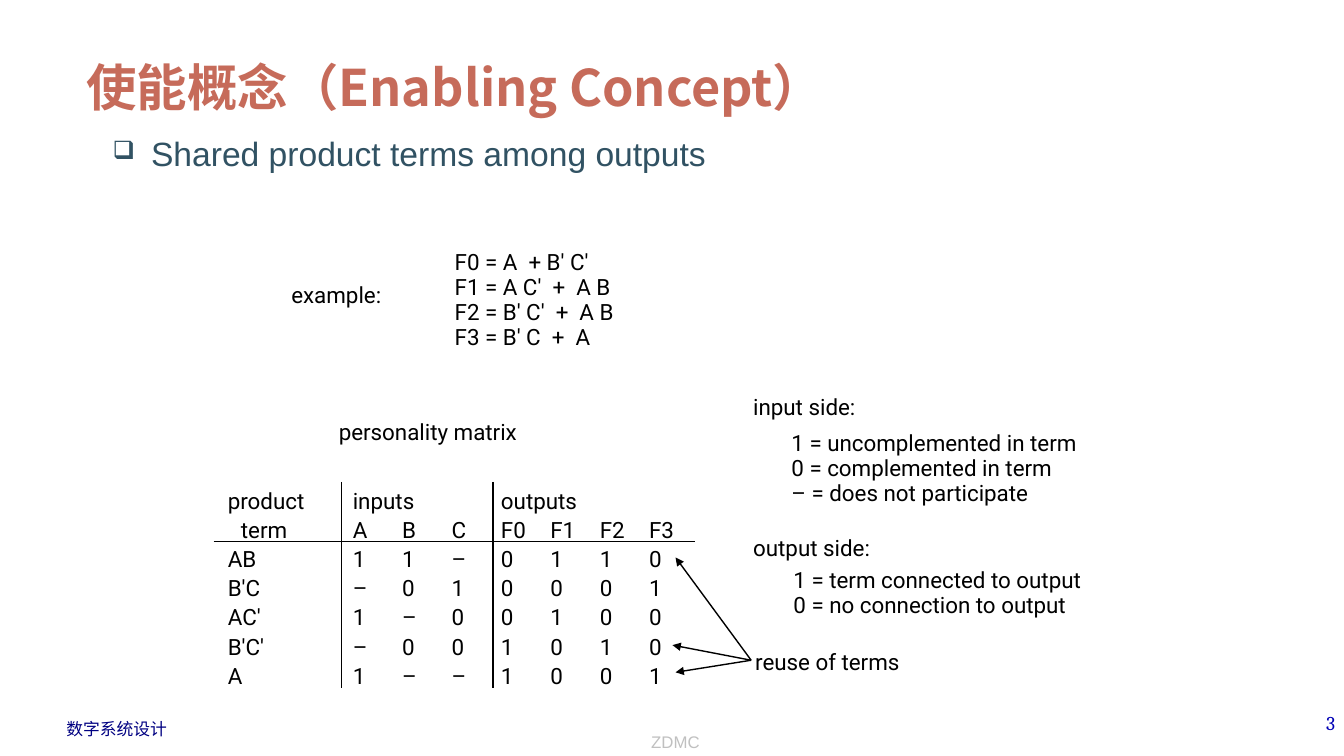
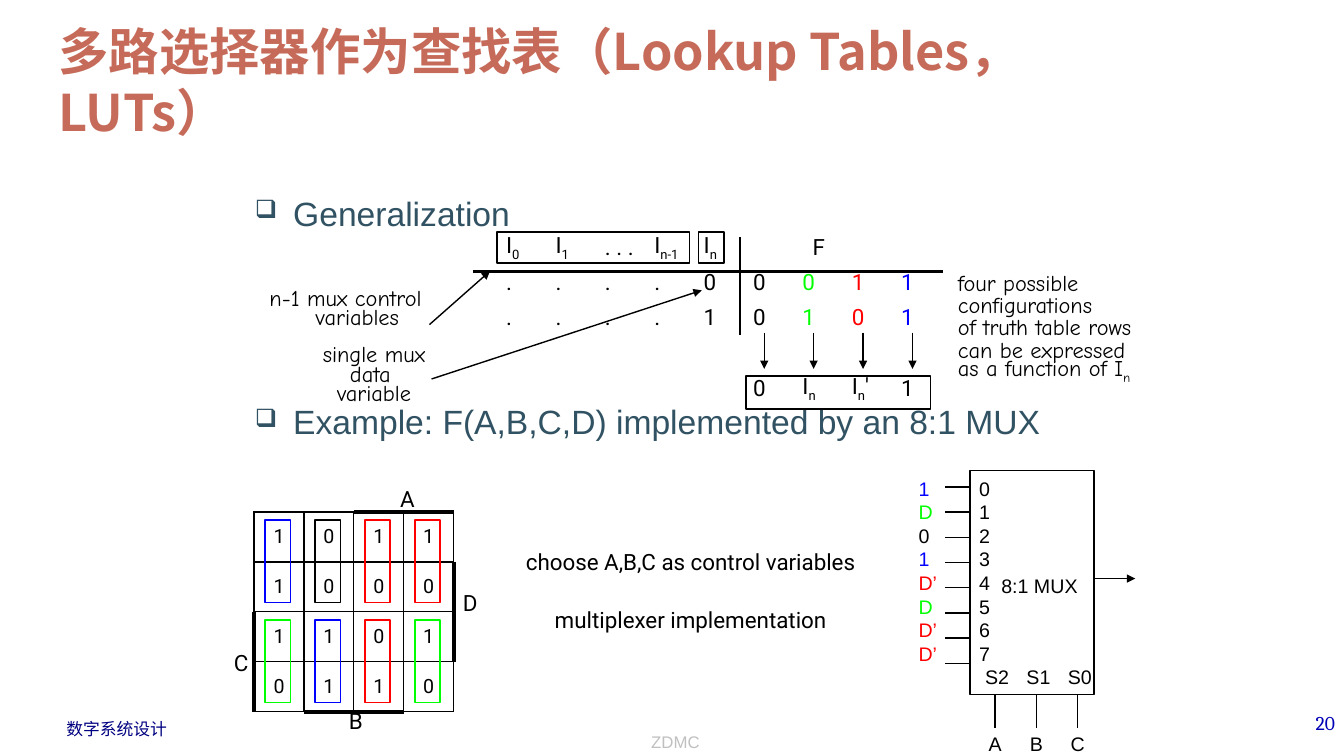
from dataclasses import dataclass

from lxml import etree
from pptx import Presentation
from pptx import util as u
from pptx.dml.color import RGBColor
from pptx.enum import shapes, text
from pptx.oxml import ns

LEFT, CENTER, RIGHT = text.PP_ALIGN.LEFT, text.PP_ALIGN.CENTER, text.PP_ALIGN.RIGHT
NO_GRID_STYLE = "{2D5ABB26-0587-4C30-8999-92F81FD0307C}"


@dataclass(frozen=True)
class Look:
    font: str
    size: int
    color: str
    bold: bool = False


@dataclass(frozen=True)
class Theme:
    ink: str = "000000"
    blue: str = "0000FF"
    green: str = "00FF00"
    red: str = "FF0000"
    title: Look = Look("Noto Sans CJK SC", 36, "C66B5A", True)
    body: Look = Look("Arial", 24, "315263")
    course: Look = Look("Arial", 12, "000082")
    number: Look = Look("Cambria", 14, "0000B6")
    center: Look = Look("Arial", 12, "C0C0C0")
    label: Look = Look("Roboto", 16, "000000")
    cell: Look = Look("Roboto", 14, "000000")
    mux: Look = Look("Arial", 14, "000000")
    note: Look = Look("Comic Neue", 16, "000000")


THEME = Theme()


def rgb(color):
    return RGBColor.from_string(color)


def child(parent, tag, **attributes):
    return etree.SubElement(parent, ns.qn(tag), attributes)


def set_paragraph(para, content, look, color=None, align=LEFT, leading=None):
    if "|" in content:
        for index, piece in enumerate(content.split("|")):
            if piece:
                run = para.add_run()
                run.text = piece
                if index % 2:
                    run._r.get_or_add_rPr().set("baseline", "-25000")
    else:
        para.text = content
    para.alignment = align
    if leading:
        para.line_spacing = u.Pt(leading)
    para.font.name = look.font
    para.font.size = u.Pt(look.size)
    para.font.bold = look.bold
    para.font.color.rgb = rgb(color or look.color)


def add_bullet(para, look):
    props = para._p.get_or_add_pPr()
    props.set("marL", str(u.Inches(0.38)))
    props.set("indent", str(u.Inches(-0.38)))
    child(child(props, "a:buClr"), "a:srgbClr", val=look.color)
    child(props, "a:buSzPct", val="75000")
    child(props, "a:buChar", char="❑")


def write(slide, box, lines, look, colors=None, align=LEFT, leading=None,
          inset=(0.02, 0.03), anchor=text.MSO_ANCHOR.TOP, bullet=False):
    frame = slide.shapes.add_textbox(*map(u.Inches, box)).text_frame
    frame.word_wrap = True
    frame.vertical_anchor = anchor
    frame.margin_left = frame.margin_right = u.Inches(inset[0])
    frame.margin_top = frame.margin_bottom = u.Inches(inset[1])
    for index, content in enumerate(lines):
        para = frame.add_paragraph() if index else frame.paragraphs[0]
        if bullet:
            add_bullet(para, look)
        set_paragraph(para, content, look, colors[index] if colors else None, align, leading)
    return frame.paragraphs


def line(slide, start, end, weight=1, arrow=False):
    points = map(u.Inches, (*start, *end))
    connector = slide.shapes.add_connector(shapes.MSO_CONNECTOR.STRAIGHT, *points)
    connector.line.color.rgb = rgb(THEME.ink)
    connector.line.width = u.Pt(weight)
    props = connector._element.spPr
    if arrow:
        child(props.find(ns.qn("a:ln")), "a:tailEnd", type="triangle")
    child(props, "a:effectLst")


def outline(slide, box, color=THEME.ink):
    frame = slide.shapes.add_shape(shapes.MSO_SHAPE.RECTANGLE, *map(u.Inches, box))
    frame.shadow.inherit = False
    frame.fill.background()
    frame.line.color.rgb = rgb(color)
    frame.line.width = u.Pt(1)


def add_borders(cell):
    props = cell._tc.get_or_add_tcPr()
    for index, side in enumerate(("a:lnL", "a:lnR", "a:lnT", "a:lnB")):
        border = etree.Element(ns.qn(side), w=str(u.Pt(1)))
        child(child(border, "a:solidFill"), "a:srgbClr", val=THEME.ink)
        props.insert(index, border)


def grid(slide, left, top, widths, row_height, rows, look, align=LEFT, bordered=False):
    size = (sum(widths), row_height * len(rows))
    frame = slide.shapes.add_table(len(rows), len(widths), *map(u.Inches, (left, top, *size)))
    table = frame.table
    table.first_row = table.horz_banding = False
    table._tbl.tblPr.find(ns.qn("a:tableStyleId")).text = NO_GRID_STYLE
    for column, width in zip(table.columns, widths):
        column.width = u.Inches(width)
    for row, contents in zip(table.rows, rows):
        row.height = u.Inches(row_height)
        for cell, content in zip(row.cells, contents):
            value, color = content if isinstance(content, tuple) else (content, None)
            cell.margin_left = cell.margin_right = cell.margin_top = cell.margin_bottom = 0
            cell.vertical_anchor = text.MSO_ANCHOR.MIDDLE
            cell.fill.background()
            set_paragraph(cell.text_frame.paragraphs[0], value, look, color, align)
            if bordered:
                add_borders(cell)
    return table


def start_slide(deck, title, title_box, number):
    slide = deck.slides.add_slide(deck.slide_layouts[6])
    inset, bottom = (0.1, 0.05), text.MSO_ANCHOR.BOTTOM
    heading = write(slide, title_box, [title], THEME.title, inset=inset, anchor=bottom)[0]
    child(heading._p.pPr.find(ns.qn("a:defRPr")), "a:ea", typeface=THEME.title.font)
    write(slide, (0.56, 7.08, 1.5, 0.3), ["数字系统设计"], THEME.course, inset=inset)
    write(slide, (10.56, 7, 2.78, 0.5), [number], THEME.number, align=RIGHT, inset=inset)
    write(slide, (3.45, 7, 6.5, 0.51), ["ZDMC"], THEME.center, align=CENTER,
          inset=inset, anchor=bottom)
    return slide


def add_topic(slide, left, top, topic):
    write(slide, (left, top, 9.5, 0.5), [topic], THEME.body, inset=(0.1, 0.05), bullet=True)


def add_personality_matrix(slide):
    rows = [
        ["product", "inputs", "", "", "outputs", "", "", ""],
        ["term", "A", "B", "C", "F0", "F1", "F2", "F3"],
        ["AB", *"11–0110"],
        ["B'C", *"–010001"],
        ["AC'", *"1–00100"],
        ["B'C'", *"–001010"],
        ["A", *"1––1001"],
    ]
    matrix = grid(slide, 2.26, 4.83, [1.24] + [0.49] * 7, 0.29, rows, THEME.label)
    matrix.cell(0, 1).merge(matrix.cell(0, 3))
    matrix.cell(0, 4).merge(matrix.cell(0, 7))
    matrix.cell(1, 0).margin_left = u.Inches(0.13)
    line(slide, (2.12, 5.37), (6.89, 5.37))
    for x in (3.39, 4.89):
        line(slide, (x, 4.78), (x, 6.83))


def build_enabling(deck):
    slide = start_slide(deck, "使能概念（Enabling Concept）", (0.76, 0.46, 11.59, 0.75), "3")
    add_topic(slide, 1.02, 1.27, "Shared product terms among outputs")
    captions = [
        ((2.87, 2.74), 20.8, ["example:"]),
        ((4.49, 2.45), 17.8, ["F0 = A  + B' C'", "F1 = A C'  +  A B",
                              "F2 = B' C'  +  A B", "F3 = B' C  +  A"]),
        ((3.34, 4.1), 20.8, ["personality matrix"]),
        ((7.45, 3.89), 17.8, ["input side:"]),
        ((7.83, 4.25), 17.8, ["1 = uncomplemented in term", "0 = complemented in term",
                              "– = does not participate"]),
        ((7.45, 5.29), 17.8, ["output side:"]),
        ((7.85, 5.61), 17.8, ["1 = term connected to output", "0 = no connection to output"]),
        ((7.47, 6.36), 21.8, ["reuse of terms"]),
    ]
    for place, leading, lines in captions:
        write(slide, (*place, 3.5, 0.3 * len(lines)), lines, THEME.label, leading=leading)
    add_personality_matrix(slide)
    for target in ((6.7, 5.53), (6.67, 6.4), (6.7, 6.67)):
        line(slide, (7.45, 6.55), target, arrow=True)


def add_truth_table(slide):
    colors = (THEME.ink, THEME.green, THEME.red, THEME.blue)
    dots = ["."] * 4
    rows = [
        ["I|0|", "I|1|", ". . .", "I|n-1|", "I|n|", "", "F", "", ""],
        [*dots, "0", *zip("0011", colors)],
        [*dots, "1", *zip("0101", colors)],
        [""] * 9,
        [""] * 5 + ["0", "I|n|", "I|n|'", "1"],
    ]
    truth = grid(slide, 5.02, 2.28, [0.49] * 9, 0.35, rows, THEME.label)
    truth.cell(0, 6).margin_left = u.Inches(0.1)
    for box in ((7.4, 3.73, 1.83, 0.33), (4.93, 2.3, 1.91, 0.31), (6.93, 2.3, 0.25, 0.31)):
        outline(slide, box)
    line(slide, (4.69, 2.69), (9.35, 2.69), 2)
    line(slide, (7.34, 2.35), (7.34, 3.32), 2)
    for column in range(4):
        x = 7.58 + 0.49 * column
        line(slide, (x, 3.3), (x, 3.66), arrow=True)


def add_truth_notes(slide):
    control, data = write(
        slide, (2.6, 2.86, 1.73, 1.1),
        ["n-1 mux control \vvariables", "single mux data \vvariable"],
        THEME.note, align=CENTER, leading=13.8)
    data.space_before = u.Pt(12.9)
    for para, margin, indent in ((control, 0.16, -0.16), (data, 0.49, 0)):
        para._p.pPr.set("marL", str(u.Inches(margin)))
        para._p.pPr.set("indent", str(u.Inches(indent)))
    line(slide, (4.26, 3.22), (4.86, 2.69), arrow=True)
    line(slide, (4.28, 3.76), (6.96, 2.88), arrow=True)
    write(slide, (9.48, 2.68, 2.2, 1.2),
          ["four possible", "configurations", "of truth table rows",
           "can be expressed", "as a function of I|n|"], THEME.note, leading=16)


def add_karnaugh_map(slide):
    left, top, side = 2.52, 5.08, 1.98
    cell = side / 4
    grid(slide, left, top, [cell] * 4, cell, ["1011", "1000", "1101", "0110"],
         THEME.cell, CENTER, bordered=True)
    right, bottom, middle = left + side, top + side, top + side / 2
    line(slide, (left + 2 * cell, top), (right, top), 3)
    line(slide, (right, top + cell), (right, top + 3 * cell), 3)
    line(slide, (left + cell, bottom), (left + 3 * cell, bottom), 3)
    line(slide, (left, middle), (left, bottom), 3)
    for name, x, y in (("A", 3.95, 4.83), ("D", 4.57, 5.86), ("B", 3.44, 7.03), ("C", 2.3, 6.46)):
        write(slide, (x, y, 0.3, 0.3), [name], THEME.label, leading=15.8)
    pair_colors = ((THEME.blue, THEME.ink, THEME.red, THEME.red),
                   (THEME.green, THEME.blue, THEME.red, THEME.green))
    for row, colors in enumerate(pair_colors):
        for column, color in enumerate(colors):
            outline(slide, (2.63 + cell * column, 5.16 + 2 * cell * row, 0.25, 0.82), color)


def add_multiplexer(slide):
    left, top, width, height = 9.62, 4.67, 1.23, 2.22
    right, bottom = left + width, top + height
    outline(slide, (left, top, width, height))
    write(slide, (9.7, 5.66, 1.22, 0.3), ["8:1 MUX"], THEME.mux, align=CENTER, leading=16.8)
    inputs = ["1", "D", "0", "1", "D’", "D", "D’", "D’"]
    input_colors = {"1": THEME.blue, "0": THEME.ink, "D": THEME.green, "D’": THEME.red}
    write(slide, (9.09, 4.7, 0.4, 2), inputs, THEME.mux,
          [input_colors[name] for name in inputs], leading=16.8)
    write(slide, (9.69, 4.7, 0.2, 2), "01234567", THEME.mux, leading=16.8)
    for index in range(len(inputs)):
        y = 4.83 + 0.25 * index
        line(slide, (left, y), (left - 0.25, y))
    for index, (select, name) in enumerate((("S2", "A"), ("S1", "B"), ("S0", "C"))):
        x = 9.87 + 0.41 * index
        line(slide, (x, bottom), (x, 7.22))
        write(slide, (x - 0.18, 6.57, 0.4, 0.3), [select], THEME.mux, align=CENTER, leading=16.8)
        write(slide, (x - 0.2, 7.23, 0.4, 0.3), [name], THEME.mux, align=CENTER, leading=16.8)
    line(slide, (right, 5.74), (11.26, 5.74), arrow=True)


def build_lookup(deck):
    slide = start_slide(deck, "多路选择器作为查找表（Lookup Tables，LUTs）",
                        (0.48, 0.7, 10.8, 0.75), "20")
    add_topic(slide, 2.43, 1.86, "Generalization")
    add_topic(slide, 2.43, 3.93, "Example: F(A,B,C,D) implemented by an 8:1 MUX")
    add_truth_table(slide)
    add_truth_notes(slide)
    add_karnaugh_map(slide)
    steps = write(slide, (5.1, 5.48, 3.5, 1.1),
                  ["choose A,B,C as control variables", "multiplexer implementation"],
                  THEME.label, align=CENTER, leading=13.8)
    steps[1].space_before = u.Pt(27.6)
    add_multiplexer(slide)


def main():
    deck = Presentation()
    deck.slide_width, deck.slide_height = u.Inches(13.33), u.Inches(7.5)
    build_enabling(deck)
    build_lookup(deck)
    deck.save("out.pptx")


if __name__ == "__main__":
    main()
